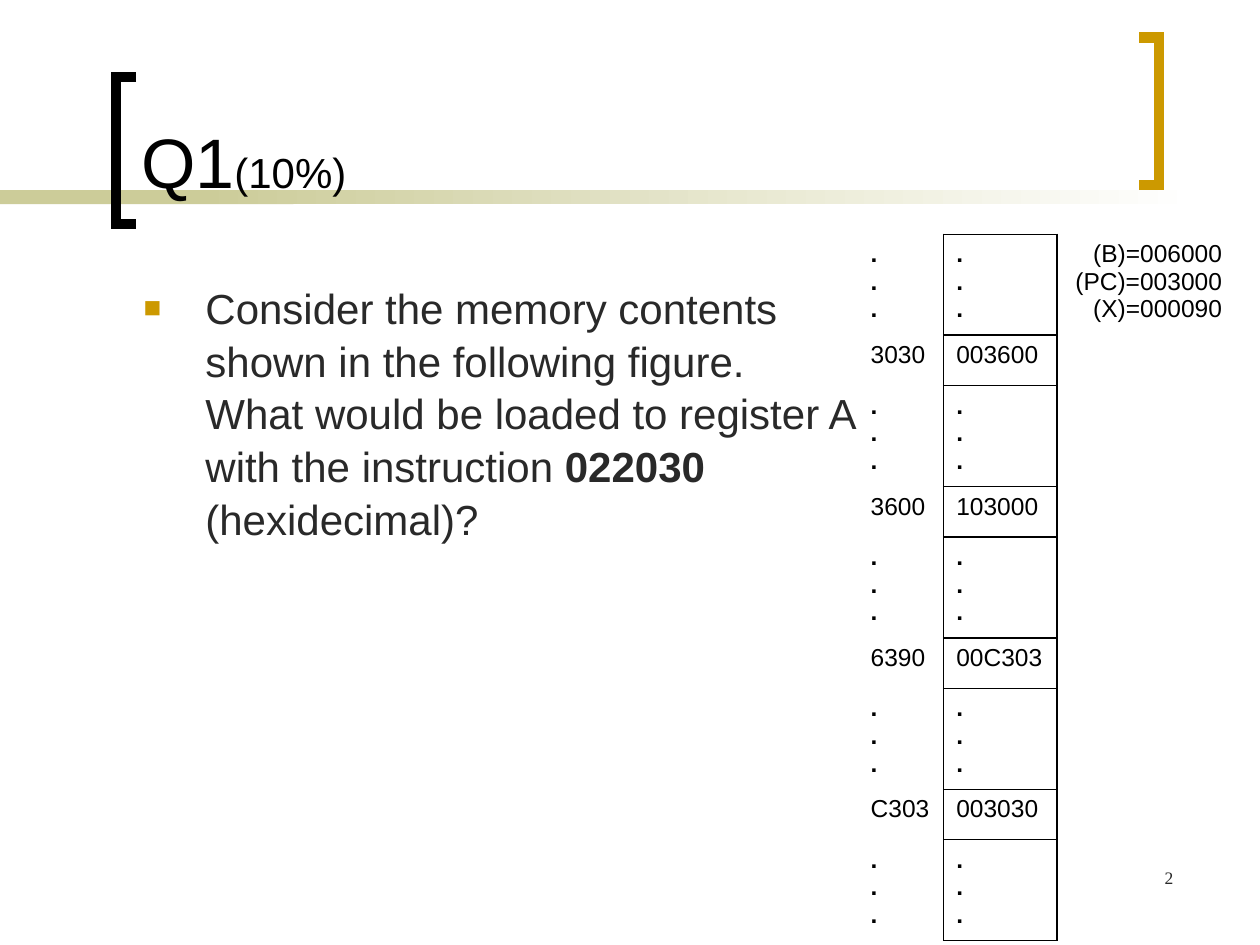
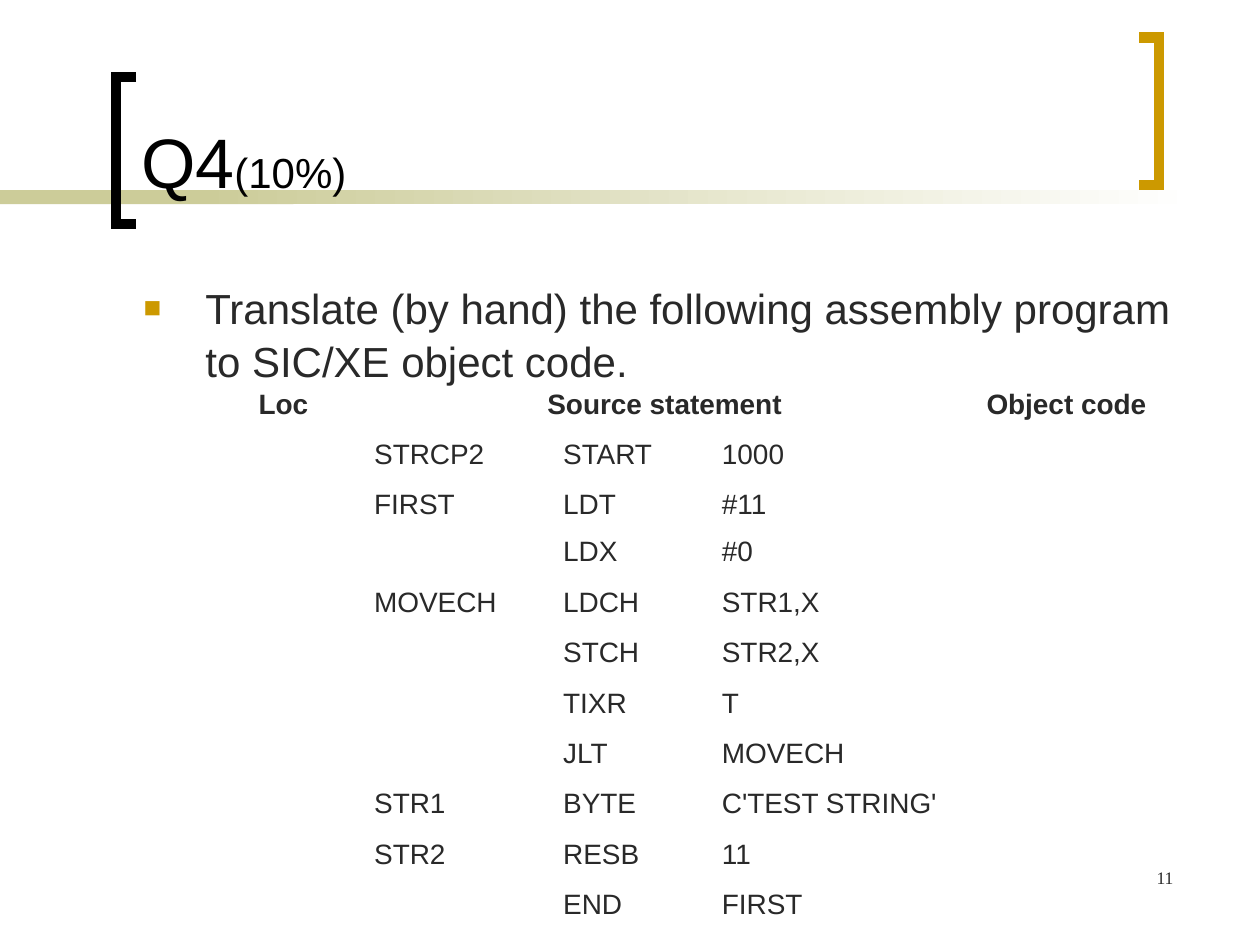
from lxml import etree
from pptx import Presentation
from pptx.dml.color import RGBColor
from pptx.enum import shapes, text
from pptx.oxml import ns
from pptx.util import Inches, Pt

BLACK = RGBColor(0x00, 0x00, 0x00)
WHITE = RGBColor(0xFF, 0xFF, 0xFF)
CHARCOAL = RGBColor(0x29, 0x29, 0x29)
KHAKI = RGBColor(0xCC, 0xCC, 0x99)
GOLD = RGBColor(0xCC, 0x99, 0x00)
NO_TABLE_STYLE = "{2D5ABB26-0587-4C30-8999-92F81FD0307C}"

QUESTIONS = [
    # title, page, body width, body height, body text, bold part, rest
    ("Q1", "2", 5.85, 3.24,
     "Consider the memory contents shown in the following figure.\v"
     "What would be loaded to register A with the instruction ",
     "022030", " (hexidecimal)?"),
    ("Q4", "11", 8.38, 4.5,
     "Translate (by hand) the following assembly program to SIC/XE object code.",
     "", ""),
]
MEMORY = [("3030", "003600"), ("3600", "103000"), ("6390", "00C303"), ("C303", "003030")]
REGISTERS = "(B)=006000\n(PC)=003000\n(X)=000090"
PROGRAM = [
    ("STRCP2", "START", "1000"),
    ("FIRST", "LDT", "#11"),
    ("", "LDX", "#0"),
    ("MOVECH", "LDCH", "STR1,X"),
    ("", "STCH", "STR2,X"),
    ("", "TIXR", "T"),
    ("", "JLT", "MOVECH"),
    ("STR1", "BYTE", "C'TEST STRING'"),
    ("STR2", "RESB", "11"),
    ("", "END", "FIRST"),
]


def style(paragraph, size, color, font="Arial", bold=False, align=text.PP_ALIGN.LEFT):
    paragraph.alignment = align
    for run in paragraph.runs:
        run.font.name = font
        run.font.size = Pt(size)
        run.font.bold = bold
        run.font.color.rgb = color


def add_plain_table(slide, left, top, widths, heights):
    """Add a table without banding, fills or borders."""
    frame = slide.shapes.add_table(
        len(heights), len(widths), Inches(left), Inches(top),
        Inches(sum(widths)), Inches(sum(heights)))
    table = frame.table
    table.first_row = table.horz_banding = False
    frame.element.find(".//" + ns.qn("a:tableStyleId")).text = NO_TABLE_STYLE
    for column, width in zip(table.columns, widths):
        column.width = Inches(width)
    for row, height in zip(table.rows, heights):
        row.height = Inches(height)
    for cell in table.iter_cells():
        cell.fill.background()
    return table


prs = Presentation()
prs.slide_width = Inches(10)
prs.slide_height = Inches(7.5)
layout = prs.slide_layouts[1]
memory_slide, program_slide = [prs.slides.add_slide(layout) for _ in QUESTIONS]

# Shared band and brackets, built once and moved to the slide master
band_start, band_fade = [
    memory_slide.shapes.add_shape(shapes.MSO_SHAPE.RECTANGLE, Inches(left), Inches(1.51),
                                  Inches(width), Inches(0.11))
    for left, width in [(0, 2.33), (1.58, 7.92)]]
band_start.fill.solid()
band_start.fill.fore_color.rgb = KHAKI
band_fade.fill.gradient()
band_fade.fill.gradient_angle = 180
for stop, color, position in zip(band_fade.fill.gradient_stops, (WHITE, KHAKI), (0, 1)):
    stop.color.rgb = color
    stop.position = position
decorations = [band_start, band_fade]
for band in decorations:
    band.line.fill.background()

for tip, spine, top, color in [(1.08, 0.92, 0.61, BLACK), (9.04, 9.2, 0.3, GOLD)]:
    bottom = top + 1.17
    outline = memory_slide.shapes.build_freeform(Inches(tip), Inches(top))
    outline.add_line_segments(
        [(Inches(x), Inches(y)) for x, y in [(spine, top), (spine, bottom), (tip, bottom)]],
        close=False)
    bracket = outline.convert_to_shape()
    bracket.fill.background()
    bracket.line.width = Pt(6)
    bracket.line.color.rgb = color
    miter = etree.SubElement(bracket.element.spPr.find(ns.qn("a:ln")), ns.qn("a:miter"))
    miter.set("lim", "800000")
    decorations.append(bracket)

master_tree = prs.slide_master.element.cSld.spTree
for number, decoration in enumerate(decorations):
    decoration.shadow.inherit = False
    decoration.element.nvSpPr.cNvPr.id = 20 + number
    master_tree.insert(2 + number, decoration.element)

# Title, question and page number
for slide, question in zip(prs.slides, QUESTIONS):
    name, page, body_width, body_height, lead, emphasis, rest = question
    title, body = slide.placeholders
    title.left, title.top = Inches(1.02), Inches(0.11)
    title.width, title.height = Inches(7.83), Inches(1.55)
    title.text_frame.auto_size = text.MSO_AUTO_SIZE.NONE
    title.text_frame.vertical_anchor = text.MSO_ANCHOR.BOTTOM
    heading = title.text_frame.paragraphs[0]
    heading.text = name
    heading.add_run().text = "(10%)"
    style(heading, 40, BLACK)
    heading.runs[1].font.size = Pt(24)

    body.left, body.top = Inches(1.04), Inches(2.17)
    body.width, body.height = Inches(body_width), Inches(body_height)
    body.text_frame.auto_size = text.MSO_AUTO_SIZE.NONE
    body.text_frame.margin_right = Inches(0.05)
    task = body.text_frame.paragraphs[0]
    task.text = lead
    if emphasis:
        task.add_run().text = emphasis
        task.add_run().text = rest
    style(task, 24, CHARCOAL)
    if emphasis:
        task.runs[-2].font.bold = True
    task.space_before = Pt(6)
    task.line_spacing = 1.05
    properties = task._p.get_or_add_pPr()
    properties.set("marL", str(Inches(0.49)))
    properties.set("indent", str(-Inches(0.49)))
    bullet_color = etree.SubElement(properties, ns.qn("a:buClr"))
    etree.SubElement(bullet_color, ns.qn("a:srgbClr")).set("val", str(GOLD))
    etree.SubElement(properties, ns.qn("a:buSzPct")).set("val", "70000")
    etree.SubElement(properties, ns.qn("a:buFont")).set("typeface", "Arial")
    etree.SubElement(properties, ns.qn("a:buChar")).set("char", "■")

    page_number = slide.shapes.add_textbox(Inches(7.33), Inches(6.83), Inches(2.08), Inches(0.5))
    page_number.text_frame.word_wrap = True
    page_number.text_frame.text = page
    style(page_number.text_frame.paragraphs[0], 10, CHARCOAL, "Times New Roman",
          align=text.PP_ALIGN.RIGHT)

# Memory contents: address, value and registers, with gaps between the words
gap = (".\n.\n.", ".\n.\n.")
memory_rows = [gap]
for word in MEMORY:
    memory_rows += [word, gap]
memory = add_plain_table(memory_slide, 6.81, 1.86, [0.68, 0.9, 1.41],
                         [0.8 if row is gap else 0.33 for row in memory_rows])
for r, row in enumerate(memory_rows):
    for c, content in enumerate(row):
        cell = memory.cell(r, c)
        cell.text_frame.text = content
        for paragraph in cell.text_frame.paragraphs:
            style(paragraph, 14, BLACK, bold=row is gap)
    for c, sides in enumerate([["lnR"], ["lnL", "lnR", "lnT", "lnB"], ["lnL"]]):
        cell_properties = memory.cell(r, c)._tc.get_or_add_tcPr()
        for position, side in enumerate(sides):
            border = etree.Element(ns.qn("a:" + side), w=str(Pt(0.96)))
            fill = etree.SubElement(border, ns.qn("a:solidFill"))
            etree.SubElement(fill, ns.qn("a:srgbClr")).set("val", str(BLACK))
            cell_properties.insert(position, border)
registers = memory.cell(0, 2).text_frame
registers.text = REGISTERS
for paragraph in registers.paragraphs:
    style(paragraph, 14, BLACK, align=text.PP_ALIGN.RIGHT)

# Assembly program, with room for locations, object code and a last blank row
program = add_plain_table(program_slide, 1.63, 3.04, [1.24, 1.5, 1.26, 2.05, 1.57],
                          [0.33] * 11 + [0.31])
program.cell(0, 1).merge(program.cell(0, 3))
for c, label in [(0, "Loc"), (1, "Source statement"), (4, "Object code")]:
    header = program.cell(0, c).text_frame
    header.text = label
    style(header.paragraphs[0], 16, CHARCOAL, bold=True, align=text.PP_ALIGN.CENTER)
for r, statement in enumerate(PROGRAM, start=1):
    for c, part in enumerate(statement, start=1):
        if part:
            cell = program.cell(r, c)
            cell.text_frame.text = part
            style(cell.text_frame.paragraphs[0], 16, CHARCOAL)
            if r <= 2:
                cell.vertical_anchor = text.MSO_ANCHOR.MIDDLE

prs.save("out.pptx")
